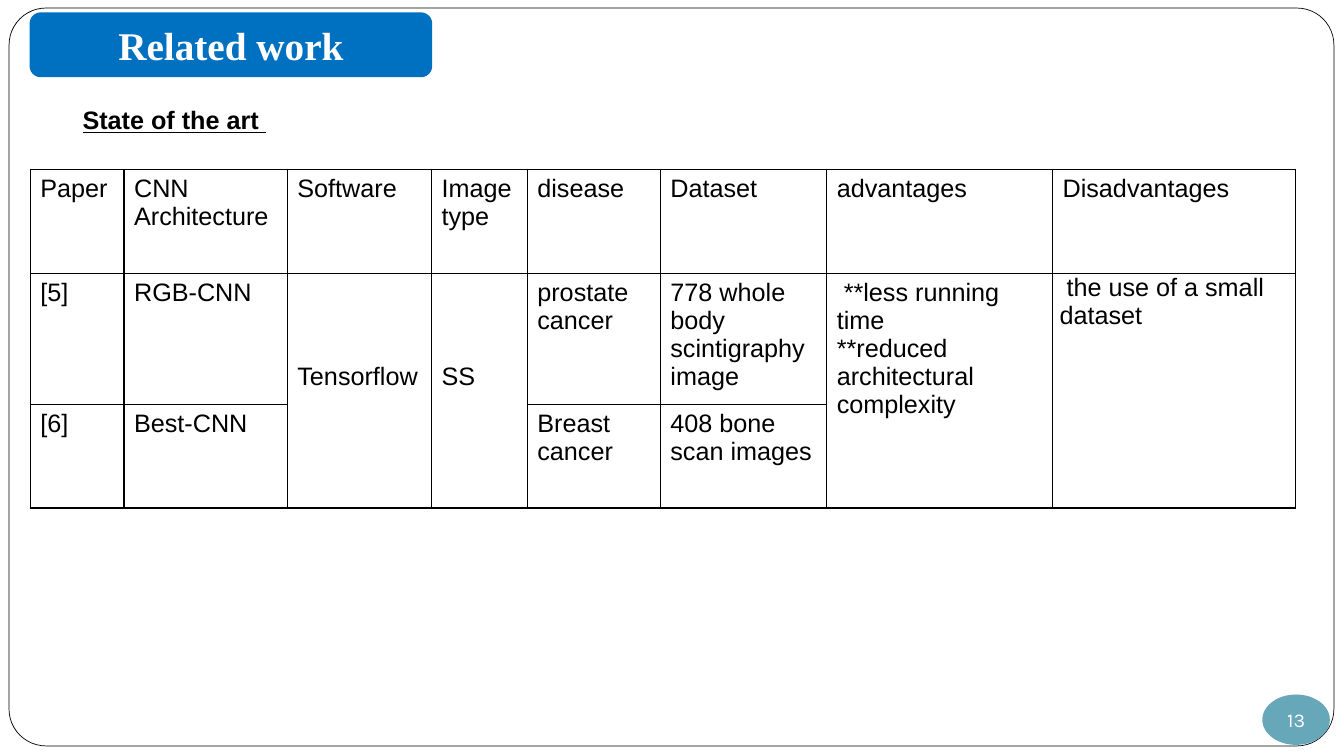
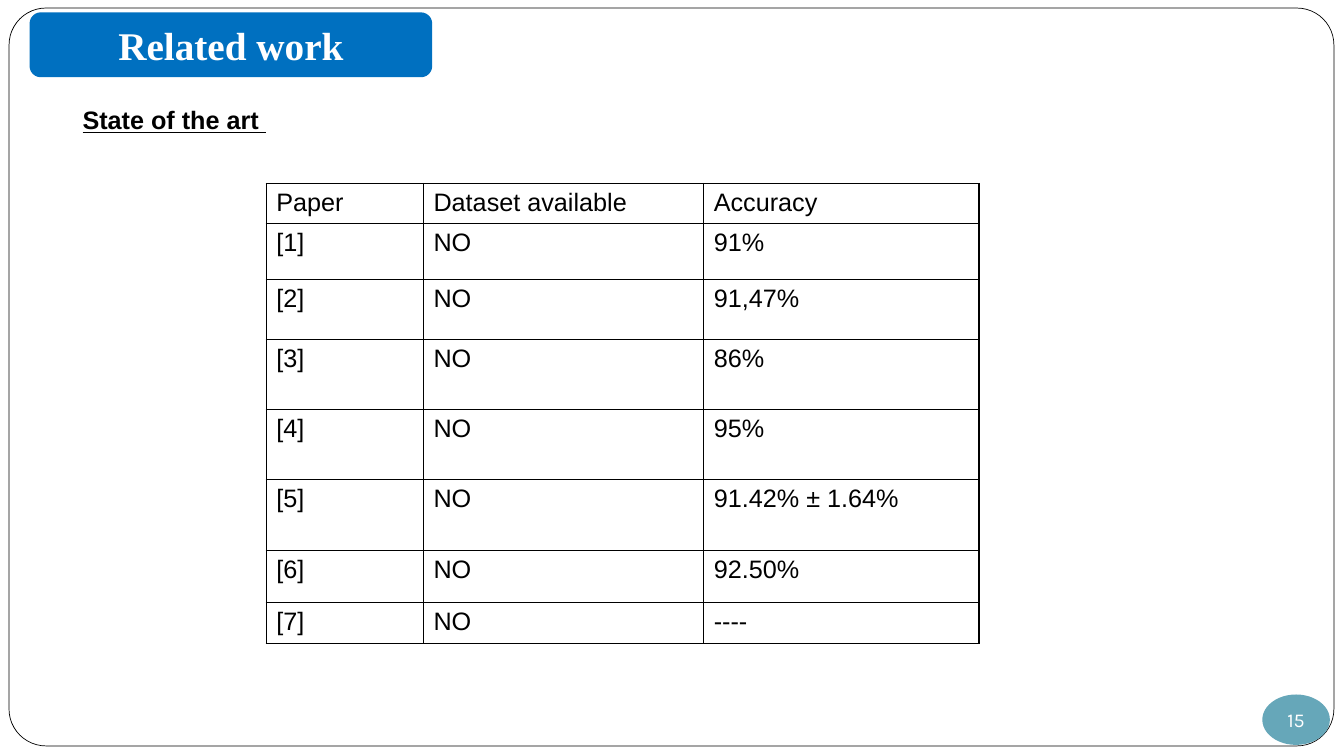
from lxml import etree
from pptx import Presentation
from pptx.dml.color import RGBColor
from pptx.enum.shapes import MSO_SHAPE
from pptx.enum.text import MSO_ANCHOR, PP_ALIGN
from pptx.oxml.ns import qn
from pptx.util import Inches, Pt

ROUNDED, OVAL = MSO_SHAPE.ROUNDED_RECTANGLE, MSO_SHAPE.OVAL
MIDDLE, CENTER = MSO_ANCHOR.MIDDLE, PP_ALIGN.CENTER

COLORS = {
    "paper": "FFFFFF",
    "ink": "000000",
    "banner": "0070C0",
    "badge": "66A7B9",
}
TITLE_FONT, BODY_FONT, NUMBER_FONT = "Times New Roman", "Arial", "Karla"
BODY_SIZE = 18
LINE_HEIGHT = 0.28

PAPERS = {
    "box": (0.3, 1.68),
    "widths": [0.93, 1.62, 1.43, 0.95, 1.32, 1.65, 2.24, 2.41],
    "heights": [1.03, 1.3, 1.03],
    "rows": [
        ["Paper", "CNN Architecture", "Software", "Image type", "disease",
         "Dataset", "advantages", "Disadvantages"],
        ["[5]", "RGB-CNN", "Tensorflow", "SS", "prostate cancer",
         "778 whole body scintigraphy image",
         " **less running time\n**reduced architectural complexity",
         " the use of a small dataset"],
        ["[6]", "Best-CNN", "", "", "Breast\ncancer",
         "408 bone scan images", "", ""],
    ],
}
ACCURACIES = ["91%", "91,47%", "86%", "95%", "91.42% ± 1.64%", "92.50%", "----"]
RESULTS = {
    "box": (2.64, 1.82),
    "widths": [1.56, 2.78, 2.73],
    "heights": [0.4, 0.55, 0.6, 0.69, 0.7, 0.7, 0.52, 0.4],
    "rows": [["Paper", "Dataset available", "Accuracy"]]
    + [[f"[{n}]", "NO", accuracy] for n, accuracy in enumerate(ACCURACIES, 1)],
}


def rgb(name):
    return RGBColor.from_string(COLORS[name])


def set_font(frame, name, size, color, bold=False, underline=False):
    for paragraph in frame.paragraphs:
        font = paragraph.font
        font.name, font.size, font.bold = name, Pt(size), bold
        font.underline = underline
        font.color.rgb = rgb(color)


def add_panel(slide, preset, box, fill, line=None, line_width=1):
    panel = slide.shapes.add_shape(preset, *map(Inches, box))
    panel.shadow.inherit = False
    panel.fill.solid()
    panel.fill.fore_color.rgb = rgb(fill)
    if line:
        panel.line.color.rgb = rgb(line)
        panel.line.width = Pt(line_width)
    else:
        panel.line.fill.background()
    return panel


def add_label(panel, text, font, size, bold=False):
    frame = panel.text_frame
    frame.text = text
    frame.vertical_anchor = MIDDLE
    frame.paragraphs[0].alignment = CENTER
    set_font(frame, font, size, "paper", bold)
    return frame


def add_page(deck, title, subtitle, number):
    """Add a slide with the shared frame, banner, page badge and subtitle."""
    slide = deck.slides.add_slide(deck.slide_layouts[6])
    border = add_panel(slide, ROUNDED, (0.09, 0.08, 13.14, 7.32), "paper", "ink", 0.5)
    border.adjustments[0] = 0.05

    banner = add_panel(slide, ROUNDED, (0.3, 0.13, 3.98, 0.63), "banner", "banner")
    add_label(banner, title, TITLE_FONT, 28, bold=True)

    badge = add_panel(slide, OVAL, (12.52, 6.89, 0.67, 0.5), "badge")
    number_frame = add_label(badge, str(number), NUMBER_FONT, 14)
    number_frame.word_wrap = False
    number_frame.margin_left = number_frame.margin_right = 0
    number_frame.margin_top = number_frame.margin_bottom = 0

    heading = slide.shapes.add_textbox(*map(Inches, (0.72, 0.99, 6.58, 0.4))).text_frame
    heading.word_wrap = True
    heading.text = subtitle
    set_font(heading, BODY_FONT, BODY_SIZE, "ink", bold=True, underline=True)
    return slide


def add_borders(cell):
    properties = cell._tc.get_or_add_tcPr()
    for side in ("a:lnL", "a:lnR", "a:lnT", "a:lnB"):
        line = etree.SubElement(properties, qn(side), w=str(Pt(1)))
        fill = etree.SubElement(line, qn("a:solidFill"))
        etree.SubElement(fill, qn("a:srgbClr"), val=COLORS["ink"])


def add_grid(slide, box, widths, heights, rows):
    """Add a plain ruled table whose top left corner is at box."""
    table = slide.shapes.add_table(
        len(rows), len(widths), *map(Inches, (*box, sum(widths), sum(heights)))
    ).table
    table.first_row = table.horz_banding = False
    for column, width in zip(table.columns, widths):
        column.width = Inches(width)
    for row, height, texts in zip(table.rows, heights, rows):
        row.height = Inches(height)
        for cell, text in zip(row.cells, texts):
            cell.text = text
            set_font(cell.text_frame, BODY_FONT, BODY_SIZE, "ink")
            add_borders(cell)
            cell.fill.background()
    return table


def add_papers_slide(deck, title, subtitle):
    slide = add_page(deck, title, subtitle, 13)
    table = add_grid(slide, **PAPERS)
    software, image_type, advantages, disadvantages = (2, 3, 6, 7)
    for column in (software, image_type, advantages, disadvantages):
        table.cell(1, column).merge(table.cell(2, column))
    for column in (software, image_type):
        table.cell(1, column).margin_top = Inches(0.05 + 3 * LINE_HEIGHT)
    drawback = table.cell(1, disadvantages)
    drawback.margin_left = drawback.margin_right = Inches(0.07)
    drawback.margin_top = drawback.margin_bottom = 0


def add_results_slide(deck, title, subtitle):
    slide = add_page(deck, title, subtitle, 15)
    add_grid(slide, **RESULTS)


def main():
    deck = Presentation()
    deck.slide_width, deck.slide_height = Inches(13.33), Inches(7.5)
    for add_slide in (add_papers_slide, add_results_slide):
        add_slide(deck, "Related work", "State of the art ")
    deck.save("out.pptx")


if __name__ == "__main__":
    main()
